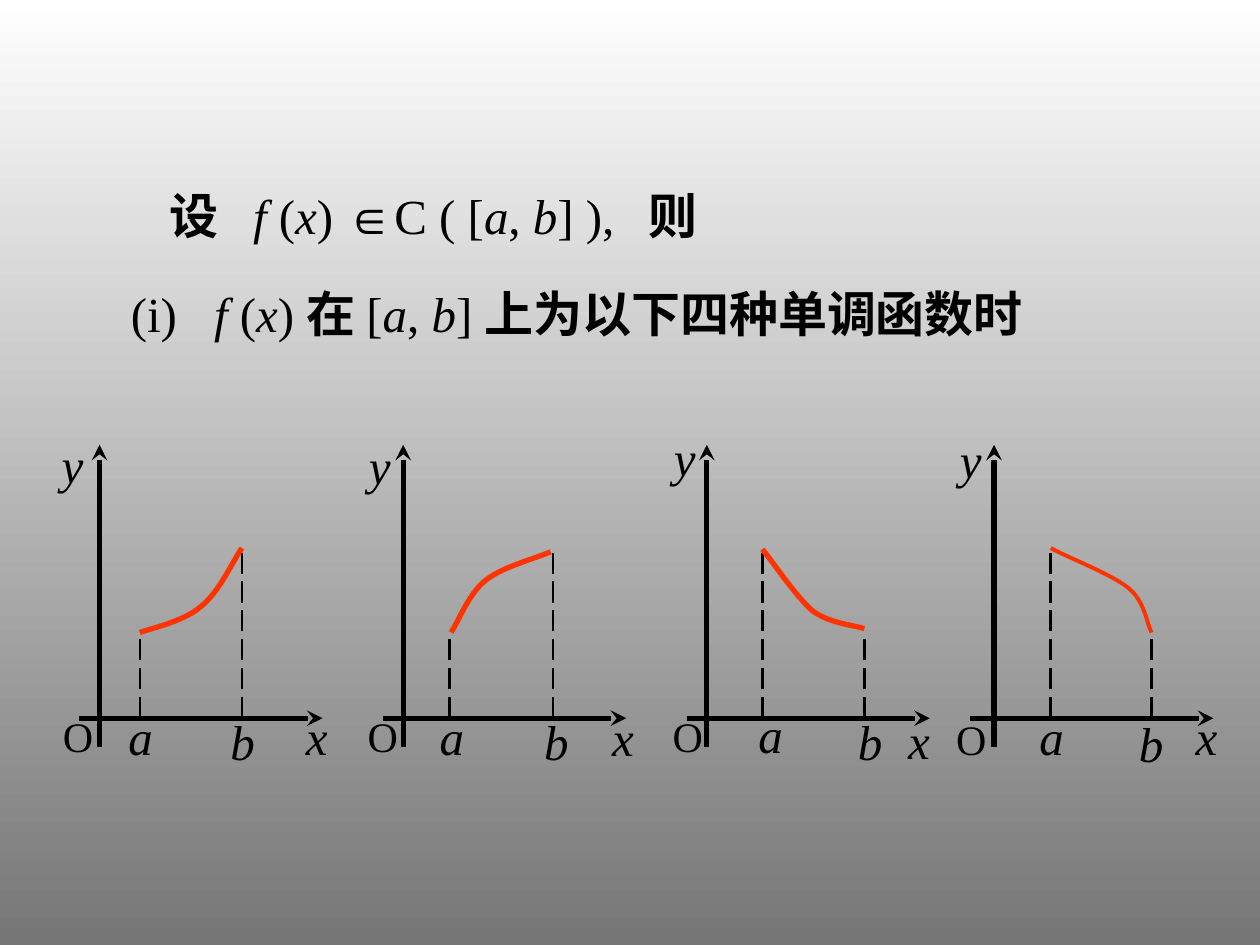
from dataclasses import dataclass
from typing import Any

from lxml.etree import SubElement
from pptx import Presentation
from pptx.dml.color import RGBColor
from pptx.enum.dml import MSO_LINE
from pptx.enum.shapes import MSO_CONNECTOR
from pptx.enum.text import MSO_AUTO_SIZE as AutoSize
from pptx.oxml.ns import qn
from pptx.util import Inches, Pt

BASELINE = 5.7
LOW, HIGH = 5.04, 4.39
LABEL_SIZES = {"O": (0.44, 0.5, 24), "a": (0.39, 0.57, 28), "b": (0.39, 0.57, 28),
               "x": (0.37, 0.57, 28), "y": (0.37, 0.57, 28)}

MEMBERSHIP = [("设\t", "b"), ("f ", "i"), ("(", ""), ("x", "i"), (") ", ""), ("∈", "s"),
              ("C ( [", ""), ("a", "i"), (", ", ""), ("b", "i"), ("] ),\t", ""), ("则", "b")]
CASE = [("(i)\t", ""), ("f ", "i"), ("(", ""), ("x", "i"), (") ", ""), ("在 ", "b"),
        ("[", ""), ("a", "i"), (", ", ""), ("b", "i"), ("] ", ""),
        ("上为以下四种单调函数时", "b")]

GRAPHS = [
    dict(left=0.63, y_axis=0.79, dashes=[(1.11, LOW), (1.92, HIGH)], weight=3,
         curve=[(1.11, 5.02), (1.19, 4.99), (1.47, 4.93), (1.6, 4.81),
                (1.74, 4.7), (1.85, 4.45), (1.92, 4.35)],
         labels=dict(O=(0.4, 5.59), a=(0.92, 5.56), b=(1.73, 5.6), x=(2.33, 5.56), y=(0.39, 3.4))),
    dict(left=3.04, y_axis=3.2, dashes=[(3.57, LOW), (4.39, HIGH)], weight=3,
         curve=[(3.58, 5.02), (3.63, 4.95), (3.72, 4.71), (3.85, 4.61),
                (3.98, 4.5), (4.26, 4.43), (4.37, 4.38)],
         labels=dict(O=(2.82, 5.59), a=(3.39, 5.56), b=(4.22, 5.6), x=(4.76, 5.57), y=(2.83, 3.41))),
    dict(left=5.45, y_axis=5.61, dashes=[(6.05, HIGH), (6.86, LOW)], weight=3,
         curve=[(6.05, 4.36), (6.12, 4.44), (6.32, 4.74), (6.45, 4.85),
                (6.59, 4.95), (6.77, 4.96), (6.86, 4.99)],
         labels=dict(O=(5.24, 5.59), a=(5.92, 5.54), b=(6.71, 5.6), x=(7.11, 5.59), y=(5.25, 3.34))),
    dict(left=7.7, y_axis=7.89, dashes=[(8.34, HIGH), (9.14, LOW)], weight=2.25,
         curve=[(8.34, 4.35), (8.44, 4.41), (8.83, 4.56), (8.96, 4.67),
                (9.09, 4.78), (9.1, 4.95), (9.14, 5.02)],
         labels=dict(O=(7.49, 5.61), a=(8.15, 5.56), b=(8.94, 5.61), x=(9.39, 5.56), y=(7.52, 3.36))),
]


def rgb(value):
    return RGBColor.from_string(value)


def bezier_points(controls, steps=12):
    points = [controls[0]]
    for start in range(0, len(controls) - 1, 3):
        segment = controls[start:start + 4]
        for step in range(1, steps + 1):
            t = step / steps
            weights = ((1 - t) ** 3, 3 * t * (1 - t) ** 2, 3 * t * t * (1 - t), t ** 3)
            points.append(tuple(sum(w * p[axis] for w, p in zip(weights, segment))
                                for axis in (0, 1)))
    return points


@dataclass
class GraphSlide:
    """Draws formula lines and function graphs in one style on a slide."""
    slide: Any
    font: str = "Times New Roman"
    symbol_font: str = "Arial"
    ink: str = "000000"
    accent: str = "FF3300"

    def background(self, top, bottom):
        fill = self.slide.background.fill
        fill.gradient()
        fill.gradient_angle = 270
        for stop, color in zip(fill.gradient_stops, (top, bottom)):
            stop.color.rgb = rgb(color)

    def style(self, paragraph, size):
        paragraph.font.size = Pt(size)
        paragraph.font.name = self.font
        paragraph.font.color.rgb = rgb(self.ink)

    def formula(self, left, top, width, pieces, tabs):
        frame = self.slide.shapes.add_textbox(
            Inches(left), Inches(top), Inches(width), Inches(0.57)).text_frame
        frame.word_wrap = True
        frame.auto_size = AutoSize.SHAPE_TO_FIT_TEXT
        paragraph = frame.paragraphs[0]
        tab_list = SubElement(paragraph._p.get_or_add_pPr(), qn("a:tabLst"))
        for position in tabs:
            SubElement(tab_list, qn("a:tab"), pos=str(Inches(position)), algn="l")
        self.style(paragraph, 28)
        for text, look in pieces:
            run = paragraph.add_run()
            run.text = text
            if look == "b":
                run.font.bold = True
            elif look == "i":
                run.font.italic = True
            elif look == "s":
                run.font.name = self.symbol_font

    def line(self, group, start, end, weight):
        connector = group.shapes.add_connector(
            MSO_CONNECTOR.STRAIGHT, *(Inches(v) for v in (*start, *end)))
        connector.line.color.rgb = rgb(self.ink)
        connector.line.width = Pt(weight)
        SubElement(connector._element.spPr, qn("a:effectLst"))
        return connector.line

    def axis(self, group, start, end):
        line = self.line(group, start, end, 3)
        SubElement(line._get_or_add_ln(), qn("a:tailEnd"), type="stealth")

    def dash(self, group, x, top):
        self.line(group, (x, BASELINE), (x, top), 1.5).dash_style = MSO_LINE.LONG_DASH

    def curve(self, group, controls, weight):
        first, *rest = [(Inches(x), Inches(y)) for x, y in bezier_points(controls)]
        builder = group.shapes.build_freeform(*first)
        builder.add_line_segments(rest, close=False)
        shape = builder.convert_to_shape()
        shape.shadow.inherit = False
        shape.fill.background()
        shape.line.color.rgb = rgb(self.accent)
        shape.line.width = Pt(weight)

    def label(self, group, letter, left, top):
        width, height, size = LABEL_SIZES[letter]
        frame = group.shapes.add_textbox(
            Inches(left), Inches(top), Inches(width), Inches(height)).text_frame
        frame.word_wrap = False
        frame.auto_size = AutoSize.SHAPE_TO_FIT_TEXT
        paragraph = frame.paragraphs[0]
        paragraph.text = letter
        self.style(paragraph, size)
        paragraph.font.italic = letter != "O"

    def graph(self, left, y_axis, dashes, curve, weight, labels):
        group = self.slide.shapes.add_group_shape()
        self.axis(group, (left, BASELINE), (left + 1.93, BASELINE))
        self.axis(group, (y_axis, 5.93), (y_axis, 3.53))
        for x, top in dashes:
            self.dash(group, x, top)
        self.curve(group, curve, weight)
        for letter, place in labels.items():
            self.label(group, letter, *place)


def main():
    deck = Presentation()
    deck.slide_width, deck.slide_height = Inches(10), Inches(7.5)
    page = GraphSlide(deck.slides.add_slide(deck.slide_layouts[6]))
    page.background("FFFFFF", "767676")
    page.formula(1.25, 1.42, 5.92, MEMBERSHIP, (0.66, 3.8))
    page.formula(0.94, 2.2, 8.81, CASE, (0.66,))
    for graph in GRAPHS:
        page.graph(**graph)
    deck.save("out.pptx")


if __name__ == "__main__":
    main()
